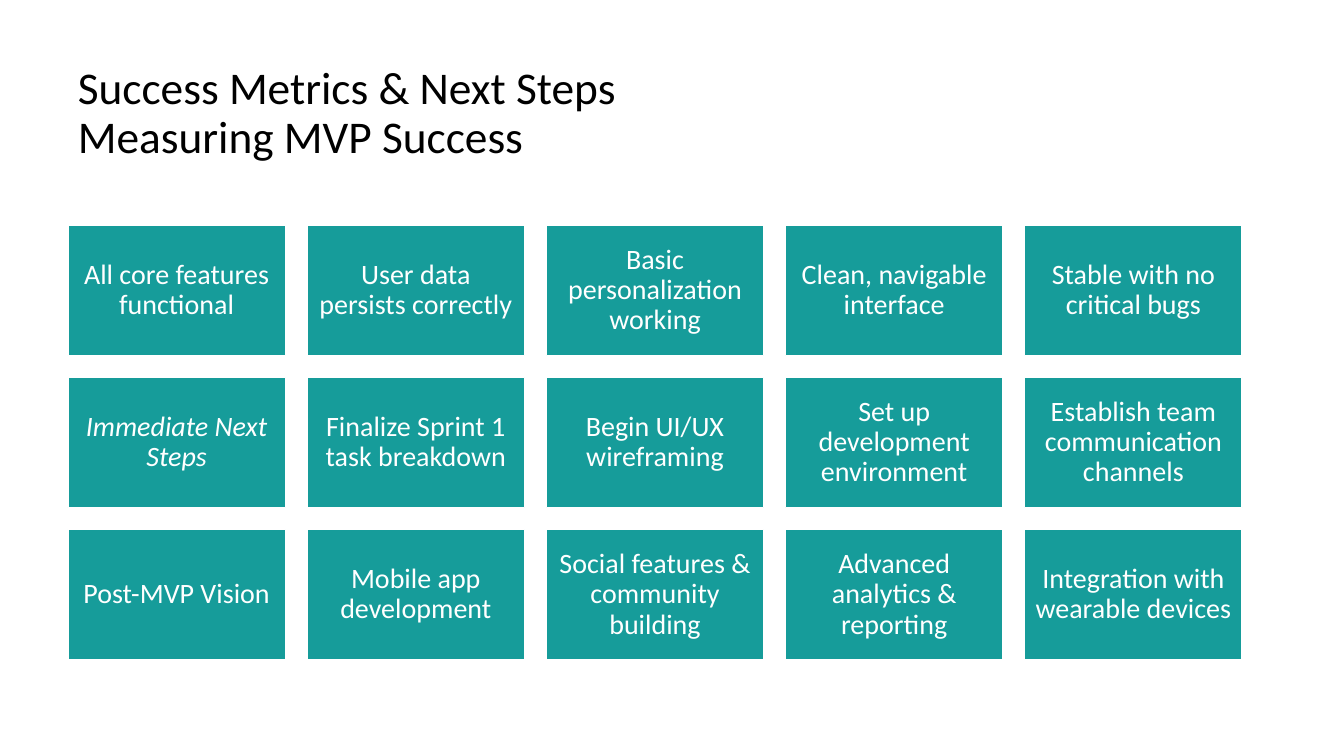
from dataclasses import dataclass

from pptx import Presentation
from pptx.dml.color import RGBColor
from pptx.enum.shapes import MSO_SHAPE as Shape
from pptx.enum.text import MSO_ANCHOR as Anchor, PP_ALIGN as Align
from pptx.util import Pt


@dataclass(frozen=True)
class Theme:
    font: str = "Calibri"
    title_size: float = 32.4
    tile_size: float = 20
    title_color: RGBColor = RGBColor(0x00, 0x00, 0x00)
    tile_color: RGBColor = RGBColor(0x16, 0x9C, 0x9A)
    light: RGBColor = RGBColor(0xFF, 0xFF, 0xFF)


@dataclass(frozen=True)
class Box:
    left: float
    top: float
    width: float
    height: float

    def lengths(self):
        return [Pt(value) for value in (self.left, self.top, self.width, self.height)]


THEME = Theme()
TITLE = "Success Metrics & Next Steps\nMeasuring MVP Success"
TILE_ROWS = [
    ["All core features functional", "User data persists correctly",
     "Basic personalization working", "Clean, navigable interface",
     "Stable with no critical bugs"],
    ["Immediate Next Steps", "Finalize Sprint 1 task breakdown",
     "Begin UI/UX wireframing", "Set up development environment",
     "Establish team communication channels"],
    ["Post-MVP Vision", "Mobile app development",
     "Social features & community building", "Advanced analytics & reporting",
     "Integration with wearable devices"],
]
ITALIC_TILE = "Immediate Next Steps"
GAP_RATIO = 0.1
HEIGHT_RATIO = 0.6


def write_text(shape, text, *, size, color, align=Align.LEFT, anchor=Anchor.TOP,
               italic=False, inset_x=7.2, inset_y=3.6):
    frame = shape.text_frame
    frame.word_wrap = True
    frame.vertical_anchor = anchor
    frame.margin_left = frame.margin_right = Pt(inset_x)
    frame.margin_top = frame.margin_bottom = Pt(inset_y)
    paragraph = frame.paragraphs[0]
    paragraph.text = text
    paragraph.alignment = align
    paragraph.line_spacing = 0.9
    for run in paragraph.runs:
        run.font.name = THEME.font
        run.font.size = Pt(size)
        run.font.italic = italic
        run.font.color.rgb = color


def add_title(slide, box):
    title = slide.shapes.add_textbox(*box.lengths())
    write_text(title, TITLE, size=THEME.title_size, color=THEME.title_color)


def add_tile(slide, box, text):
    tile = slide.shapes.add_shape(Shape.RECTANGLE, *box.lengths())
    tile.shadow.inherit = False
    tile.fill.solid()
    tile.fill.fore_color.rgb = THEME.tile_color
    tile.line.color.rgb = THEME.light
    tile.line.width = Pt(1)
    write_text(tile, text, size=THEME.tile_size, color=THEME.light,
               align=Align.CENTER, anchor=Anchor.MIDDLE,
               italic=text == ITALIC_TILE, inset_x=6, inset_y=6)


def add_tile_grid(slide, box):
    columns = len(TILE_ROWS[0])
    width = box.width / (columns + (columns - 1) * GAP_RATIO)
    height = width * HEIGHT_RATIO
    gap = width * GAP_RATIO
    for row, texts in enumerate(TILE_ROWS):
        for column, text in enumerate(texts):
            left = box.left + column * (width + gap)
            top = box.top + row * (height + gap)
            add_tile(slide, Box(left, top, width, height), text)


def main():
    presentation = Presentation()
    presentation.slide_width = Pt(960)
    presentation.slide_height = Pt(540)
    slide = presentation.slides.add_slide(presentation.slide_layouts[6])
    add_title(slide, Box(48.5, 43.2, 838.8, 89.3))
    add_tile_grid(slide, Box(48.5, 160.8, 838.8, 310.6))
    presentation.save("out.pptx")


if __name__ == "__main__":
    main()
